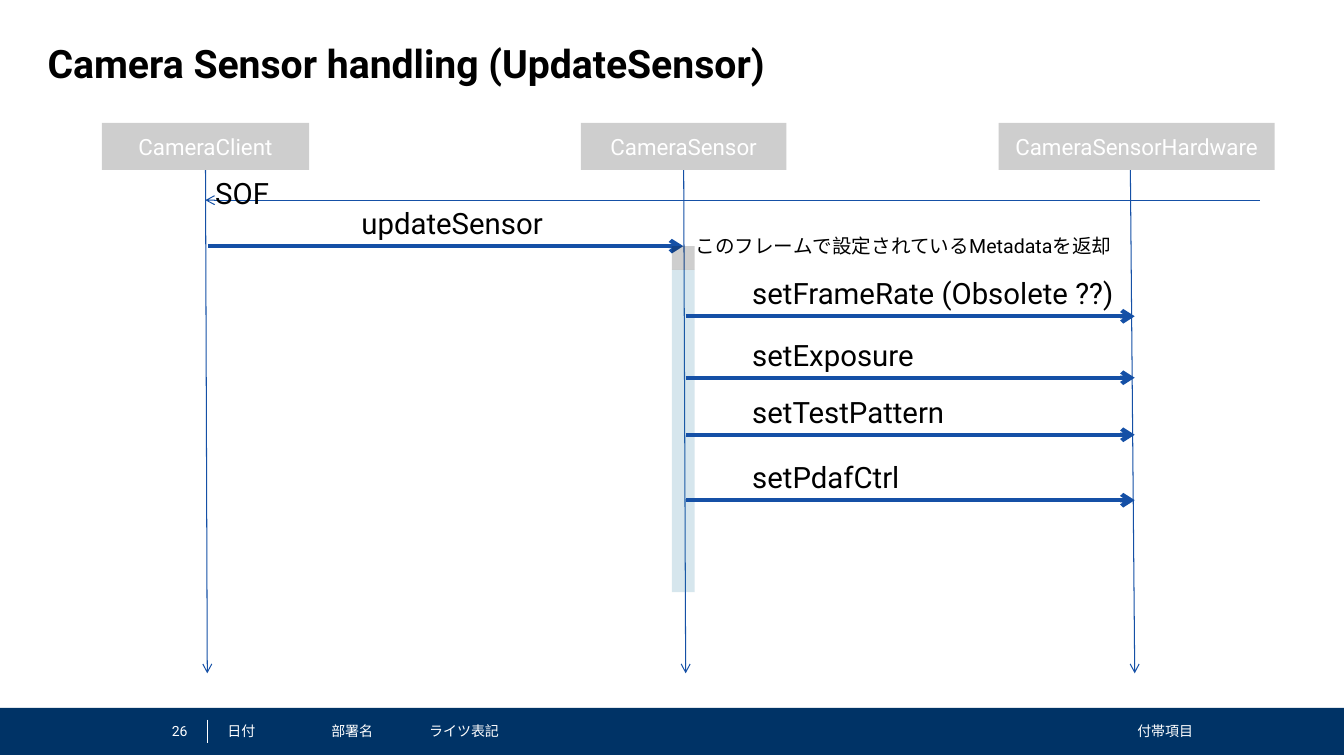
from lxml.etree import SubElement
from pptx import Presentation
from pptx.dml.color import RGBColor
from pptx.enum.shapes import MSO_CONNECTOR, MSO_SHAPE
from pptx.enum.text import MSO_ANCHOR, MSO_AUTO_SIZE, PP_ALIGN
from pptx.oxml.ns import qn
from pptx.util import Cm, Pt

FONT = "Roboto"
COLORS = {
    "black": "000000",
    "white": "FFFFFF",
    "footer": "003366",
    "line": "1550A6",
    "grey": "0D0D0D",
    "teal": "3284A6",
}
HEAD_TOP, HEAD_HEIGHT = 3.1, 1.19
HEAD_BOTTOM = HEAD_TOP + HEAD_HEIGHT
LIFELINE_END = 16.99
CLIENT_X, SENSOR_X, HARDWARE_X = 5.23, 17.3, 28.63
LABEL_HEIGHT = 1.15
PARTICIPANTS = [
    ("CameraClient", 2.57, 5.23, 5.18, CLIENT_X),
    ("CameraSensor", 14.66, 5.18, 17.25, SENSOR_X),
    ("CameraSensorHardware", 25.2, 6.96, 28.52, HARDWARE_X),
]
HARDWARE_CALLS = [
    ("setFrameRate (Obsolete ??)", 7.98, 9.9),
    ("setExposure", 9.53, 4.75),
    ("setTestPattern", 10.97, 5.45),
    ("setPdafCtrl", 12.62, 4.3),
]


def color(name):
    return RGBColor.from_string(COLORS[name])


def style(paragraph, size, tint, align=PP_ALIGN.LEFT, bold=False):
    paragraph.alignment = align
    font = paragraph.font
    font.name, font.size, font.bold = FONT, Pt(size), bold
    font.color.rgb = color(tint)


def add_block(slide, left, top, width, height, fill, opacity=100):
    block = slide.shapes.add_shape(
        MSO_SHAPE.RECTANGLE, Cm(left), Cm(top), Cm(width), Cm(height))
    block.shadow.inherit = False
    block.fill.solid()
    block.fill.fore_color.rgb = color(fill)
    block.line.fill.background()
    if opacity < 100:
        tint = block.fill._xPr.find(".//" + qn("a:srgbClr"))
        SubElement(tint, qn("a:alpha"), val=str(opacity * 1000))
    return block


def add_line(slide, start, end, weight=0.75, tint="line", arrow=True):
    line = slide.shapes.add_connector(
        MSO_CONNECTOR.STRAIGHT, *(Cm(value) for value in start + end))
    line.line.color.rgb = color(tint)
    line.line.width = Pt(weight)
    if arrow:
        SubElement(line.line._get_or_add_ln(), qn("a:tailEnd"), type="arrow")
    SubElement(line._element.spPr, qn("a:effectLst"))
    return line


def add_label(slide, text, left, top, width, height=LABEL_HEIGHT, size=21, wrap=False):
    label = slide.shapes.add_textbox(Cm(left), Cm(top), Cm(width), Cm(height))
    frame = label.text_frame
    frame.word_wrap = wrap
    frame.auto_size = MSO_AUTO_SIZE.SHAPE_TO_FIT_TEXT
    frame.text = text
    style(frame.paragraphs[0], size, "black")


def add_footer_item(slide, text, left, width, align=PP_ALIGN.LEFT, inset=0.0, tab=None):
    item = slide.shapes.add_textbox(Cm(left), Cm(18.15), Cm(width), Cm(0.6))
    frame = item.text_frame
    frame.word_wrap = True
    frame.vertical_anchor = MSO_ANCHOR.MIDDLE
    frame.margin_left = frame.margin_right = Cm(inset)
    frame.margin_top = frame.margin_bottom = 0
    paragraph = frame.paragraphs[0]
    paragraph.text = text
    if tab:
        tabs = SubElement(paragraph._p.get_or_add_pPr(), qn("a:tabLst"))
        SubElement(tabs, qn("a:tab"), pos=str(Cm(tab)), algn="l")
    style(paragraph, 10, "white", align)


def add_footer(slide):
    add_block(slide, 0, 17.86, 33.91, 1.19, "footer")
    add_line(slide, (5.23, 18.16), (5.23, 18.75), 0.25, "white", arrow=False)
    add_footer_item(slide, "付帯項目", 22.3, 8, PP_ALIGN.RIGHT, inset=0.2)
    add_footer_item(slide, "部署名\tライツ表記", 8.36, 13.49, tab=2.47)
    add_footer_item(slide, "日付", 5.74, 2.16)
    add_footer_item(slide, "26", 3.94, 0.79, PP_ALIGN.RIGHT)


def add_title(slide, text):
    title = slide.shapes.title
    title.left, title.top, title.width, title.height = Cm(1.2), Cm(0.99), Cm(31.5), Cm(1.5)
    frame = title.text_frame
    frame.margin_left = frame.margin_right = frame.margin_top = frame.margin_bottom = 0
    frame.vertical_anchor = MSO_ANCHOR.TOP
    frame.text = text
    style(frame.paragraphs[0], 28, "black", bold=True)


def add_participant(slide, name, left, width, start_x, end_x):
    head = add_block(slide, left, HEAD_TOP, width, HEAD_HEIGHT, "grey", 20)
    head.text_frame.vertical_anchor = MSO_ANCHOR.MIDDLE
    head.text_frame.text = name
    style(head.text_frame.paragraphs[0], 16, "white", PP_ALIGN.CENTER)
    lifeline = add_line(slide, (start_x, HEAD_BOTTOM), (end_x, LIFELINE_END))
    if abs(left + width / 2 - start_x) < 0.05:
        lifeline.begin_connect(head, 2)


def add_call(slide, text, y, start_x, end_x, label_left, label_width):
    call = add_line(slide, (start_x, y), (end_x, y), 3)
    add_label(slide, text, label_left, y - LABEL_HEIGHT, label_width)
    return call


def main():
    deck = Presentation()
    deck.slide_width, deck.slide_height = Cm(33.91), Cm(19.05)
    slide = deck.slides.add_slide(deck.slide_layouts[5])
    add_footer(slide)
    add_title(slide, "Camera Sensor handling (UpdateSensor)")
    for participant in PARTICIPANTS:
        add_participant(slide, *participant)

    add_line(slide, (31.78, 5.05), (5.18, 5.05))
    add_label(slide, "SOF", 5.18, HEAD_BOTTOM, 2.1)

    update_call = add_call(slide, "updateSensor", 6.21, 5.26, 17.2, 8.87, 5.4)
    metadata_bar = add_block(slide, 16.95, 6.21, 0.58, 0.6, "grey", 20)
    update_call.end_connect(metadata_bar, 0)
    add_block(slide, 16.95, 6.81, 0.58, 8.13, "teal", 20)
    add_label(slide, "このフレームで設定されているMetadataを返却",
              17.3, 5.79, 11.2, 0.86, 14, wrap=True)

    for text, y, label_width in HARDWARE_CALLS:
        add_call(slide, text, y, SENSOR_X, HARDWARE_X, 18.73, label_width)
    deck.save("out.pptx")


if __name__ == "__main__":
    main()
